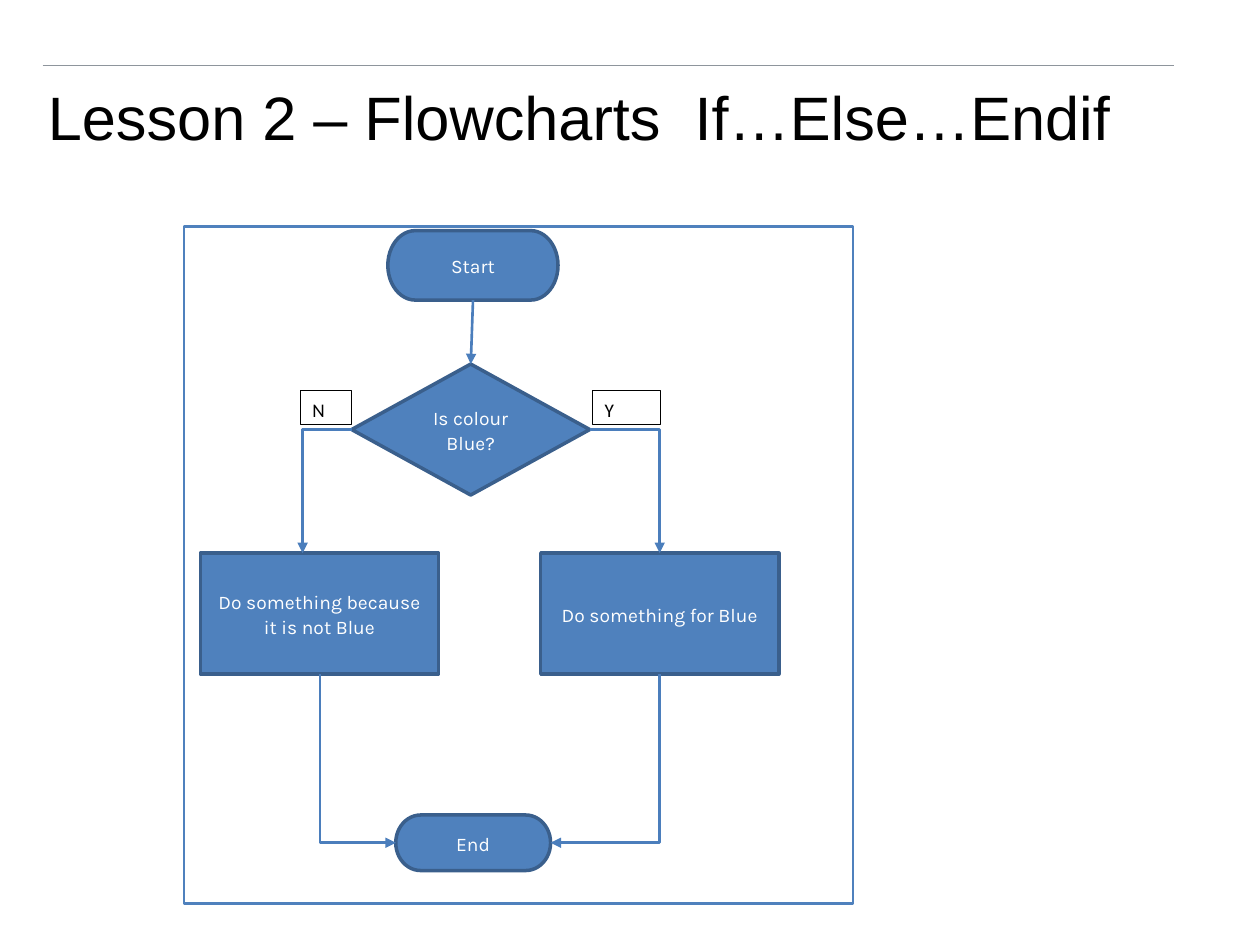
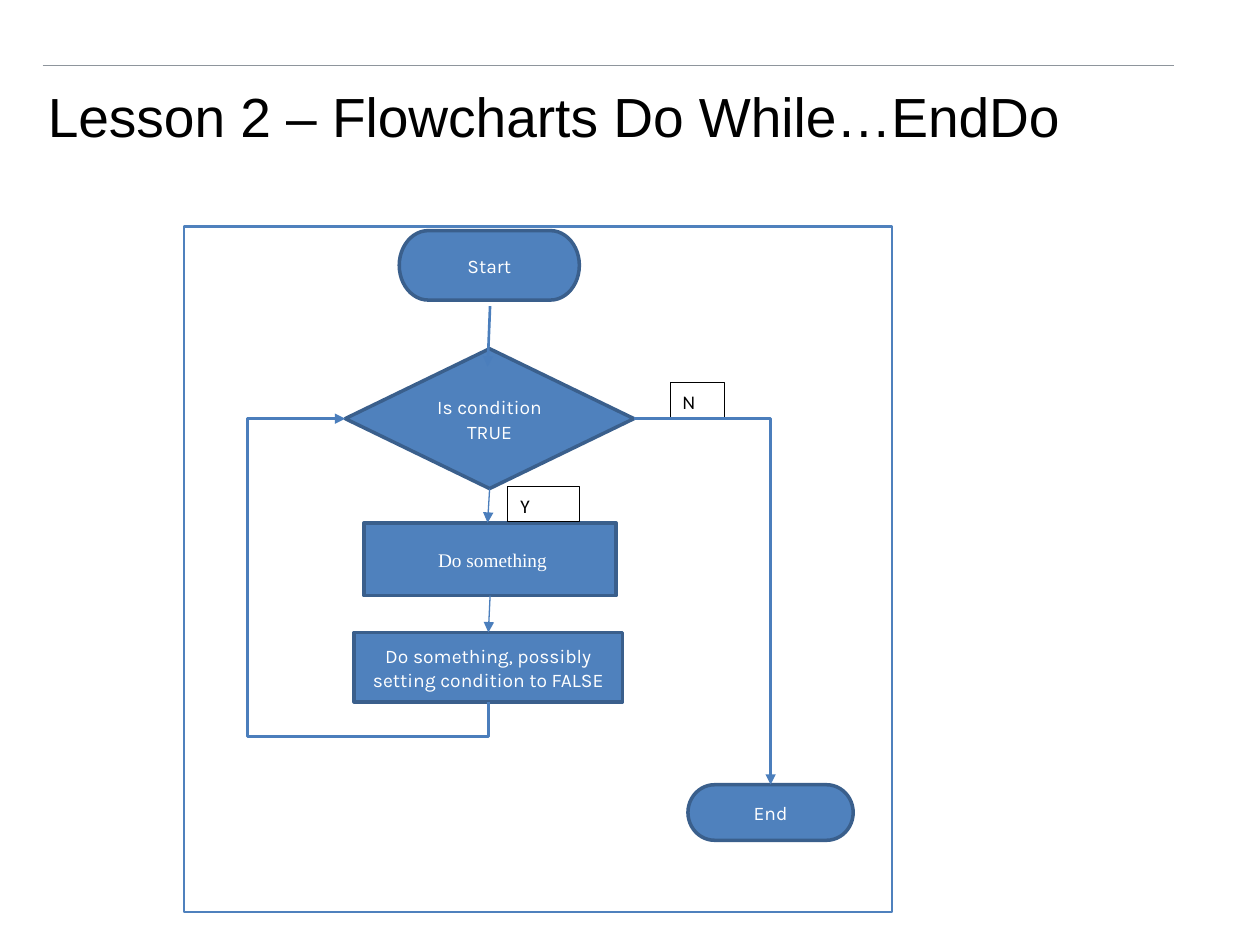
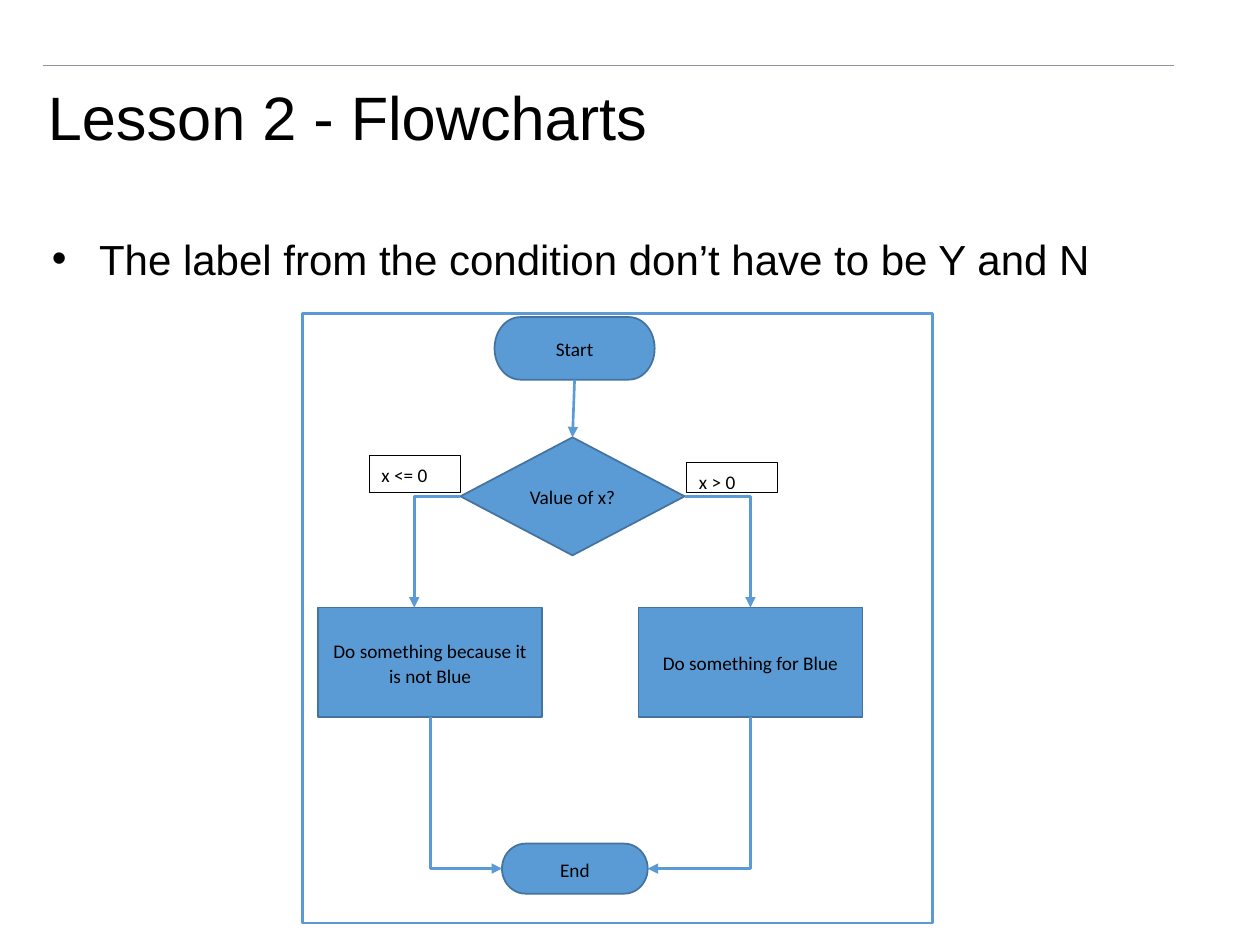
import lxml.etree
import pptx
import pptx.dml.color
import pptx.enum.shapes
import pptx.enum.text
import pptx.oxml.ns
import pptx.util

Cm = pptx.util.Cm
Pt = pptx.util.Pt
qn = pptx.oxml.ns.qn
SHAPE = pptx.enum.shapes.MSO_SHAPE
LINK = pptx.enum.shapes.MSO_CONNECTOR
ALIGN = pptx.enum.text.PP_ALIGN
ANCHOR = pptx.enum.text.MSO_ANCHOR

BLACK, WHITE, RULE = "000000", "FFFFFF", "8E959C"
CLASSIC = {"fill": "4F81BD", "edge": "3A5F8C", "edge_pt": 2, "link": "4B7EBC", "ink": WHITE, "font": "Karla"}
MODERN = {"fill": "5B9BD5", "edge": "43739E", "edge_pt": 1, "link": "5B9BD5", "ink": BLACK, "font": "Calibri"}

KINDS = {
    "start": SHAPE.FLOWCHART_TERMINATOR,
    "end": SHAPE.FLOWCHART_TERMINATOR,
    "test": SHAPE.FLOWCHART_DECISION,
}
SITES = {"top": 0, "left": 1, "bottom": 2, "right": 3}
ROUTES = {
    "right then down": (0, None),
    "left then down": (180, "flipV"),
    "down then right": (270, "flipH"),
    "down then left": (90, None),
    "loop back": (90, "flipH"),
}
LOOP_BENDS = (-12300, 168400)

BRANCH = {
    "size": (13.49, 13.64),
    "nodes": {
        "start": (4.11, 0.08, 3.43, 1.4),
        "test": (3.38, 2.77, 4.8, 2.64),
        "no": (0.33, 6.58, 4.8, 2.44),
        "end": (4.27, 11.86, 3.12, 1.12),
        "yes": (7.19, 6.58, 4.8, 2.44),
    },
    "arrows": [(("start", "bottom"), ("test", "top"), 1.5)],
    "elbows": [
        ("left then down", ("test", "left"), (2.39, 6.58)),
        ("right then down", ("test", "right"), ("yes", "top")),
        ("down then right", (2.74, 9.02), ("end", "left")),
        ("down then left", ("yes", "bottom"), ("end", "right")),
    ],
}
LOOP = {
    "size": (14.27, 13.82),
    "nodes": {
        "start": (4.34, 0.08, 3.63, 1.4),
        "test": (3.25, 2.46, 5.82, 2.82),
        "set": (3.43, 8.18, 5.41, 1.4),
        "end": (10.16, 11.25, 3.33, 1.12),
        "do": (3.63, 5.97, 5.08, 1.47),
    },
    "arrows": [
        ((6.17, 1.6), (6.12, 2.82), 1.5),
        (("test", "bottom"), (6.12, 5.97), 0.75),
        (("do", "bottom"), ("set", "top"), 0.75),
    ],
    "elbows": [
        ("loop back", ("set", "bottom"), ("test", "left")),
        ("right then down", ("test", "right"), ("end", "top")),
    ],
}

SLIDES = [
    {
        "title": "Lesson 2 – Flowcharts  If…Else…Endif", "title_pt": 35,
        "chart": BRANCH, "look": CLASSIC, "frame": (3.71, 4.57, 13.49, 13.64),
        "texts": {"start": "Start", "test": "Is colour Blue?", "end": "End",
                  "no": "Do something because it is not Blue", "yes": "Do something for Blue"},
        "labels": [("Y", (11.94, 7.87, 1.37, 0.69)), ("N", (6.05, 7.87, 1.04, 0.69))],
    },
    {
        "title": "Lesson 2 – Flowcharts Do While…EndDo", "title_pt": 31.5,
        "chart": LOOP, "look": CLASSIC, "frame": (3.71, 4.57, 14.27, 13.82),
        "texts": {"start": "Start", "test": "Is condition TRUE", "end": "End",
                  "set": "Do something, possibly setting condition to FALSE", "do": " Do something"},
        "fonts": {"do": "Times New Roman"},
        "labels": [("Y", (10.24, 9.8, 1.45, 0.71)), ("N", (13.51, 7.72, 1.09, 0.71))],
    },
    {
        "title": "Lesson 2 - Flowcharts", "title_pt": 35,
        "bullet": "The label from the condition don’t have to be Y and N",
        "chart": BRANCH, "look": MODERN, "frame": (6.1, 6.32, 12.7, 12.29),
        "texts": {"start": "Start", "test": "Value of x?", "end": "End",
                  "no": "Do something because it is not Blue", "yes": "Do something for Blue"},
        "labels": [("x > 0", (13.84, 9.32, 1.83, 0.61)), ("x <= 0", (7.44, 9.19, 1.85, 0.74))],
    },
]


def rgb(color):
    return pptx.dml.color.RGBColor.from_string(color)


def apply(target, **values):
    for name, value in values.items():
        setattr(target, name, value)


def write(tf, text, size, font, color, **paragraph):
    p = tf.paragraphs[0]
    apply(p, **paragraph)
    r = p.add_run()
    r.text = text
    apply(r.font, size=Pt(size), name=font)
    r.font.color.rgb = rgb(color)


def fill_placeholder(sp, box, text, size, anchor):
    apply(sp, **dict(zip(("left", "top", "width", "height"), map(Cm, box))))
    apply(sp.text_frame, vertical_anchor=anchor, word_wrap=True,
          auto_size=pptx.enum.text.MSO_AUTO_SIZE.NONE)
    write(sp.text_frame, text, size, "Arial", BLACK, alignment=ALIGN.LEFT)


def add_box(s, kind, box, fill, edge, edge_pt):
    sp = s.shapes.add_shape(kind, *map(Cm, box))
    sp.shadow.inherit = False
    if fill:
        sp.fill.solid()
        sp.fill.fore_color.rgb = rgb(fill)
    else:
        sp.fill.background()
    sp.line.color.rgb = rgb(edge)
    sp.line.width = Pt(edge_pt)
    return sp


def add_text(sp, text, font, color, align, anchor):
    apply(sp.text_frame, word_wrap=True, vertical_anchor=anchor)
    write(sp.text_frame, text, 11, font, color, alignment=align, line_spacing=1.07, space_after=Pt(8))


def add_link(s, kind, start, end, color, width, arrow=True):
    c = s.shapes.add_connector(kind, *map(Cm, (*start, *end)))
    c.line.color.rgb = rgb(color)
    c.line.width = Pt(width)
    props = c._element.spPr
    if arrow:
        lxml.etree.SubElement(props.find(qn("a:ln")), qn("a:tailEnd"), type="triangle")
    lxml.etree.SubElement(props, qn("a:effectLst"))
    return c


def add_elbow(s, route, start, end, color):
    turn, flip = ROUTES[route]
    (x1, y1), (x2, y2) = start, end
    w, h = abs(x2 - x1), abs(y2 - y1)
    if turn in (90, 270):
        w, h = h, w
    left, top = (x1 + x2 - w) / 2, (y1 + y2 - h) / 2
    c = add_link(s, LINK.ELBOW, (left, top), (left + w, top + h), color, 1.5)
    c.rotation = turn
    props = c._element.spPr
    if flip:
        props.find(qn("a:xfrm")).set(flip, "1")
    geom = props.find(qn("a:prstGeom"))
    geom.set("prst", "bentConnector4" if route == "loop back" else "bentConnector2")
    if route == "loop back":
        for i, bend in enumerate(LOOP_BENDS, 1):
            lxml.etree.SubElement(geom.find(qn("a:avLst")), qn("a:gd"), name=f"adj{i}", fmla=f"val {bend}")


def add_flowchart(s, chart, look, frame, texts, labels, fonts):
    left, top, width, height = frame
    sx, sy = width / chart["size"][0], height / chart["size"][1]
    boxes = {name: (left + x * sx, top + y * sy, w * sx, h * sy)
             for name, (x, y, w, h) in chart["nodes"].items()}

    def locate(spot):
        if spot[0] not in boxes:
            return left + spot[0] * sx, top + spot[1] * sy
        x, y, w, h = boxes[spot[0]]
        return {"top": (x + w / 2, y), "left": (x, y + h / 2),
                "bottom": (x + w / 2, y + h), "right": (x + w, y + h / 2)}[spot[1]]

    add_box(s, SHAPE.RECTANGLE, frame, None, look["fill"], 1.5)
    nodes = {}
    for name, box in boxes.items():
        kind = KINDS.get(name, SHAPE.FLOWCHART_PROCESS)
        nodes[name] = add_box(s, kind, box, look["fill"], look["edge"], look["edge_pt"])
        add_text(nodes[name], texts[name], fonts.get(name, look["font"]), look["ink"],
                 ALIGN.CENTER, ANCHOR.MIDDLE)
    for text, box in labels:
        sp = add_box(s, SHAPE.RECTANGLE, box, WHITE, BLACK, 0.5)
        add_text(sp, text, "Calibri", BLACK, ALIGN.LEFT, ANCHOR.TOP)
    for start, end, weight in chart["arrows"]:
        c = add_link(s, LINK.STRAIGHT, locate(start), locate(end), look["link"], weight)
        for spot, join in ((start, c.begin_connect), (end, c.end_connect)):
            if spot[0] in nodes:
                join(nodes[spot[0]], SITES[spot[1]])
    for route, start, end in chart["elbows"]:
        add_elbow(s, route, locate(start), locate(end), look["link"])


def add_slide(prs, content):
    bullet = content.get("bullet")
    s = prs.slides.add_slide(prs.slide_layouts[1 if bullet else 5])
    add_link(s, LINK.STRAIGHT, (0.86, 1.32), (23.67, 1.32), RULE, 0.75, arrow=False)
    fill_placeholder(s.shapes.title, (0.71, 0.74, 22.86, 3.18), content["title"],
                     content["title_pt"], ANCHOR.MIDDLE)
    if bullet:
        fill_placeholder(s.placeholders[1], (0.79, 4.57, 22.86, 14.27), bullet, 24, ANCHOR.TOP)
    add_flowchart(s, content["chart"], content["look"], content["frame"], content["texts"],
                  content["labels"], content.get("fonts", {}))


def main():
    prs = pptx.Presentation()
    apply(prs, slide_width=Cm(25.4), slide_height=Cm(19.05))
    for content in SLIDES:
        add_slide(prs, content)
    prs.save("out.pptx")


if __name__ == "__main__":
    main()
